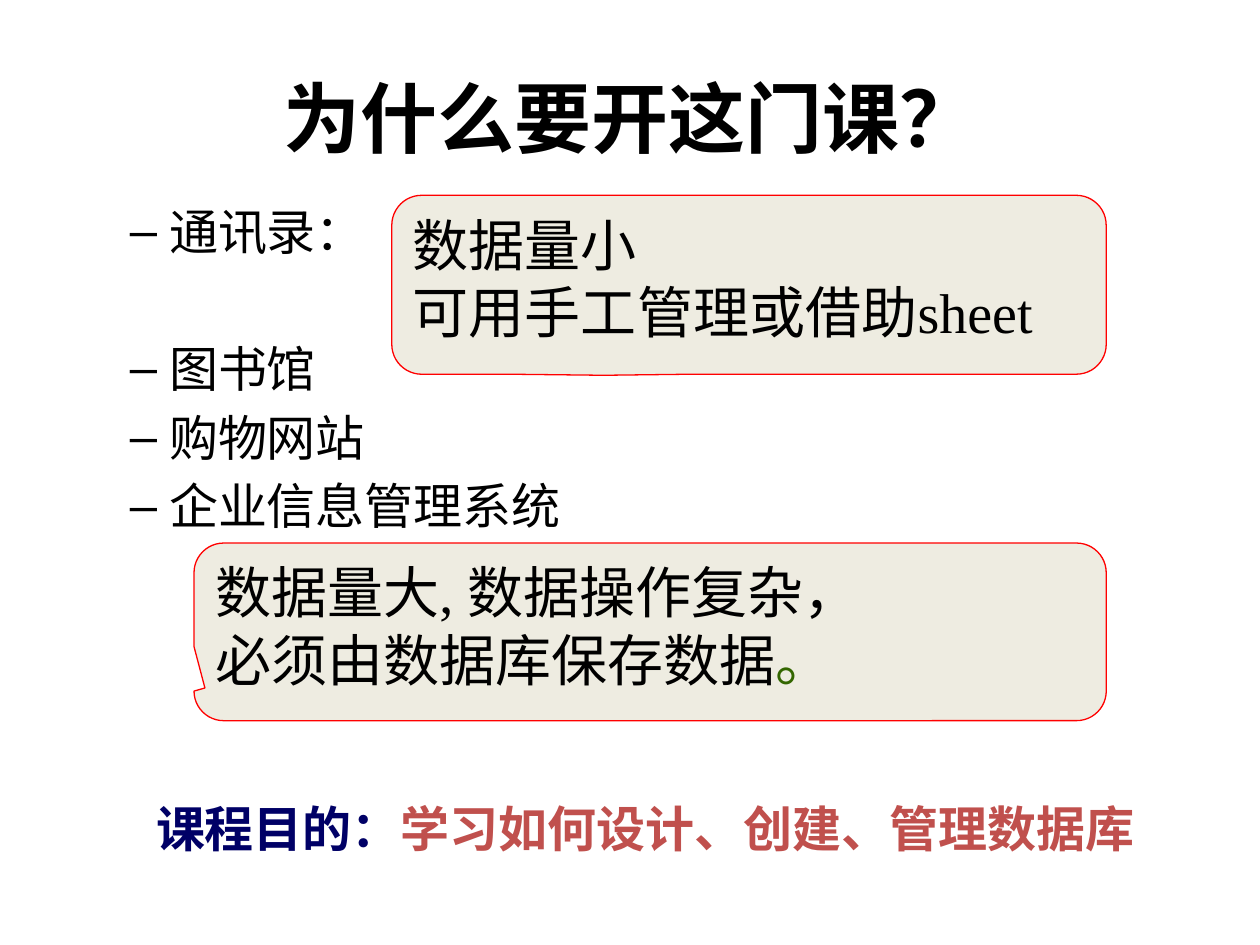
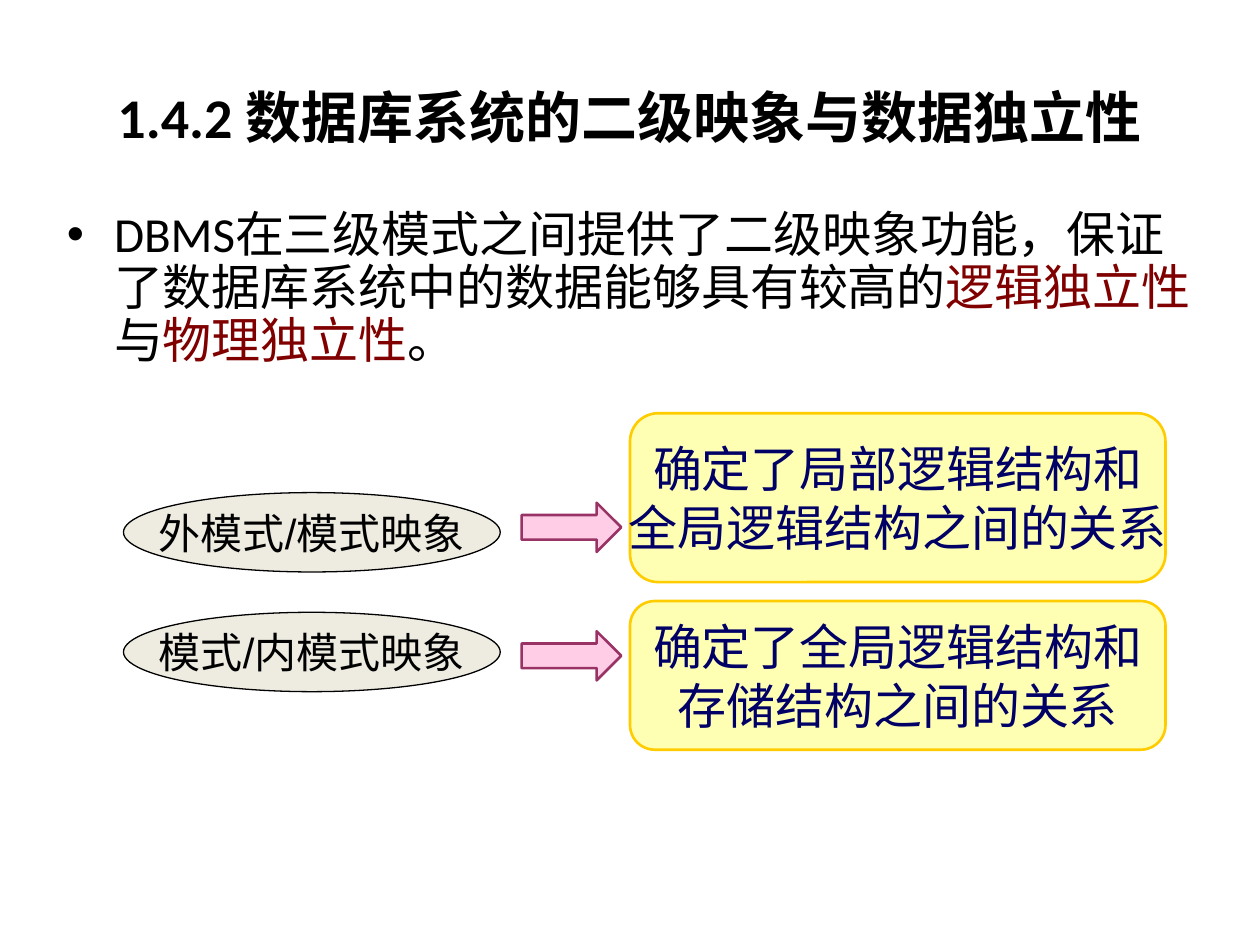
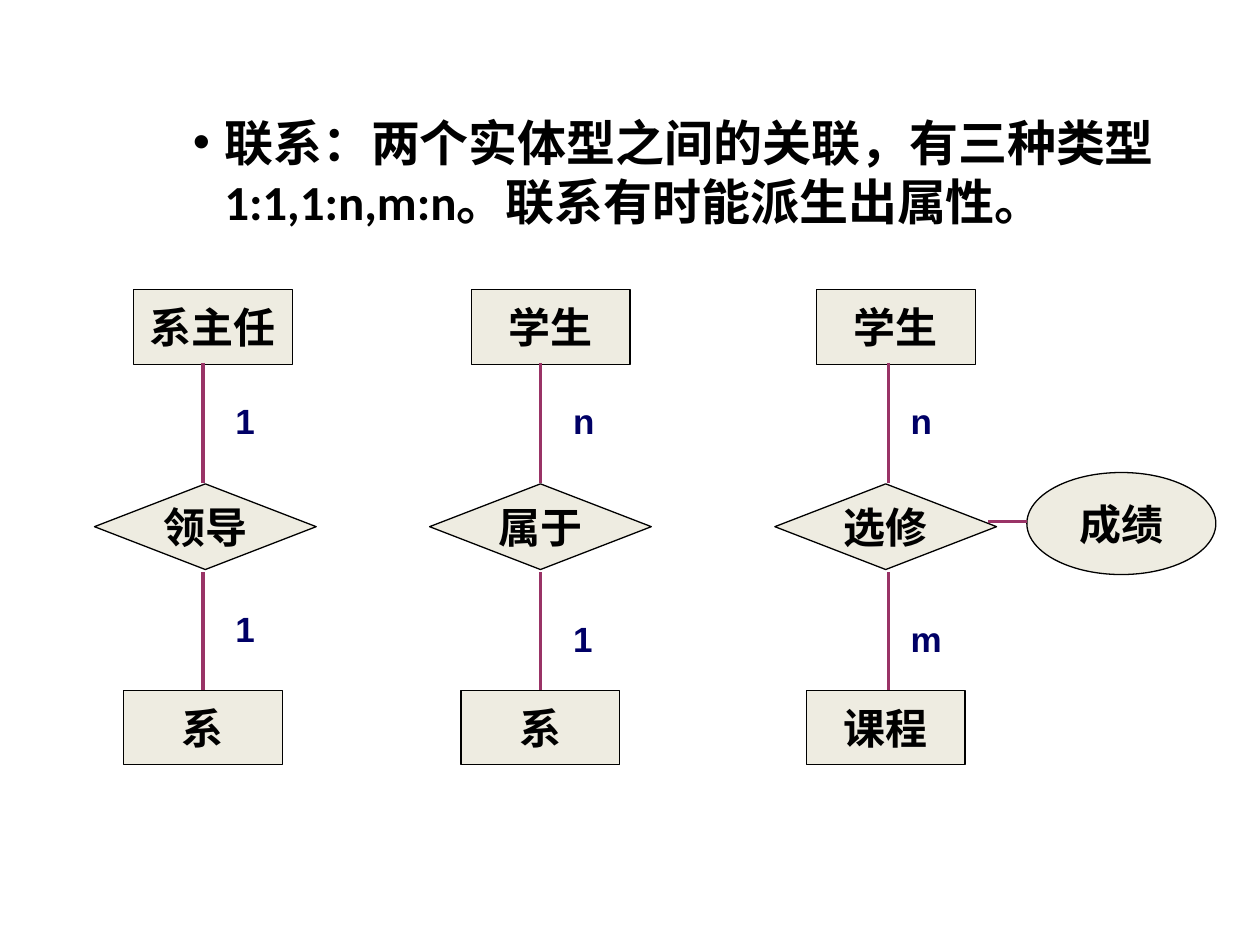
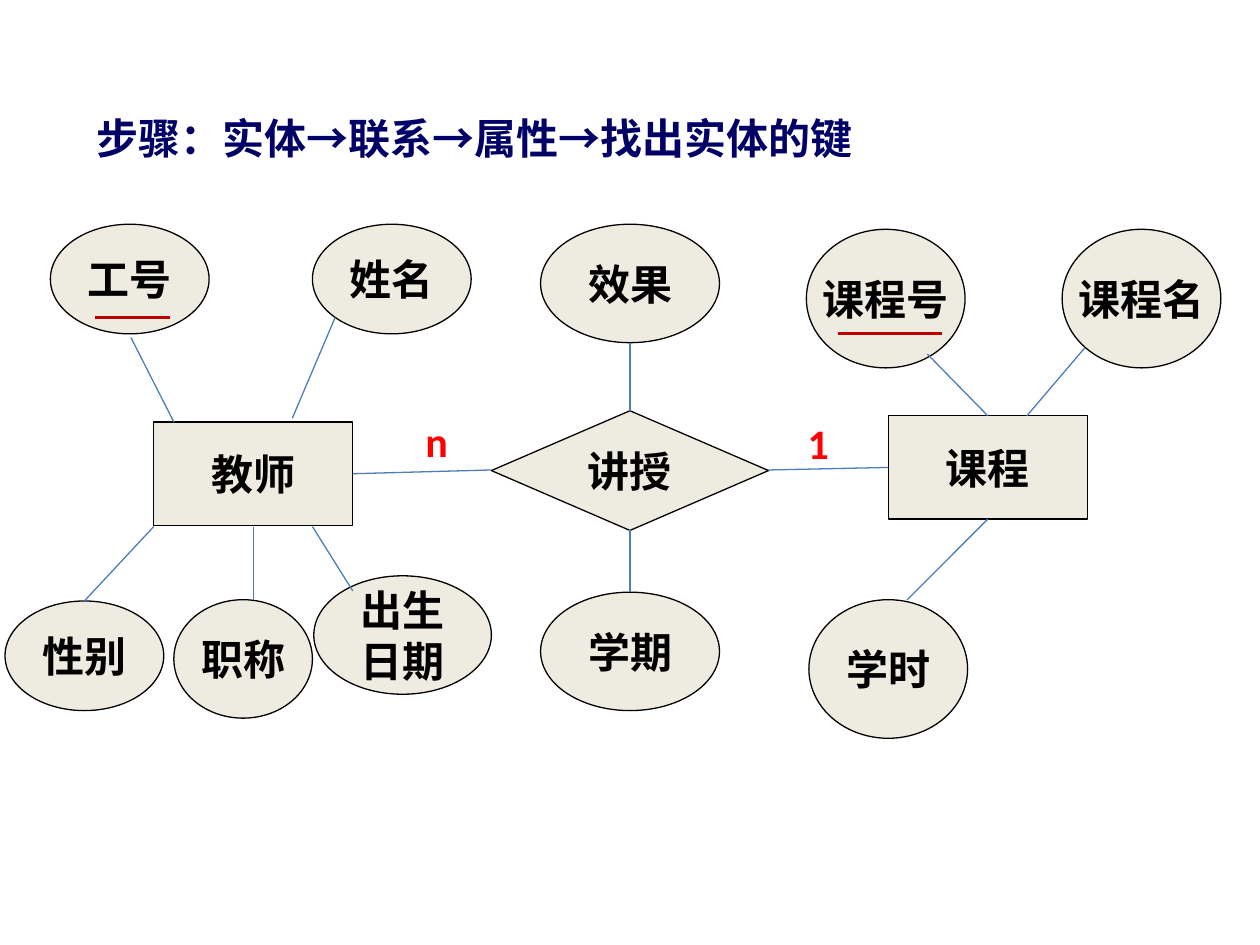
import pptx
import pptx.util
import pptx.dml.color
import pptx.enum.shapes
import pptx.enum.text
import pptx.oxml.ns
import lxml.etree

Inches, Pt = pptx.util.Inches, pptx.util.Pt
SHAPE = pptx.enum.shapes.MSO_SHAPE
ALIGN = pptx.enum.text.PP_ALIGN
ANCHOR = pptx.enum.text.MSO_ANCHOR
FIT = pptx.enum.text.MSO_AUTO_SIZE

COLORS = {
    "black": "000000", "beige": "EEECE1", "red": "FF0000", "navy": "000066",
    "maroon": "800000", "brick": "C0504D", "green": "336600", "plum": "993366",
    "pink": "FF99CC", "yellow": "FFFF99", "gold": "FFCC00", "blue": "4B7EBC",
    "key": "C00000",
}
TITLE_AND_CONTENT, BLANK = 1, 6
BODY_LEFT, BODY_WIDTH = 0.43, 9.14

# Slide 1: each line is a list of (text, color) spans
WHY_TITLE = "为什么要开这门课？"
WHY_EXAMPLES = ["通讯录：", "图书馆", "购物网站", "企业信息管理系统"]
NOTE_GAP = 44.7  # points left after the first example for its callout
CALLOUTS = [
    ((3.11, 1.55, 5.67, 1.42), (-0.203, 0.506, 0.167),
     [[("数据量小", "black")], [("可用手工管理或借助sheet", "black")]]),
    ((1.54, 4.31, 7.24, 1.41), (-0.488, 0.316, 0.167),
     [[("数据量大, 数据操作复杂，", "black")],
      [("必须由数据库保存数据", "black"), ("。", "green")]]),
]
GOAL = [("课程目的：", "navy", "Arial"),
        ("学习如何设计、创建、管理数据库", "brick", "Times New Roman")]

# Slide 2
MAPPING_TITLE = "1.4.2 数据库系统的二级映象与数据独立性"
MAPPING_TEXT = [
    ("DBMS在三级模式之间提供了二级映象功能，保证了数据库系统中的数据能够具有较高的", "black"),
    ("逻辑独立性", "maroon"), ("与", "black"), ("物理独立性", "maroon"), ("。", "black"),
]
# name, ellipse top, arrow top, effect top, effect height, effect lines
MAPPINGS = [
    ("外模式/模式映象", 3.91, 3.99, 3.28, 1.34,
     ["确定了局部逻辑结构和", "全局逻辑结构之间的关系"]),
    ("模式/内模式映象", 4.86, 5.01, 4.77, 1.18,
     ["确定了全局逻辑结构和", "存储结构之间的关系"]),
]

# Slide 3
RELATION_TEXT = "联系：两个实体型之间的关联，有三种类型1:1,1:n,m:n。联系有时能派生出属性。"
# upper entity, relation, lower entity, upper and lower label,
# then left of lower entity, left of diamond, line x, label left, lower label top
RELATIONS = [
    ("系主任", "领导", "系", "1", "1", 0.98, 0.75, 1.61, 1.77, 4.77),
    ("学生", "属于", "系", "n", "1", 3.66, 3.41, 4.29, 4.45, 4.85),
    ("学生", "选修", "课程", "n", "m", 6.4, 6.15, 7.05, 7.13, 4.85),
]
ENTITY_SIZE, DIAMOND_SIZE = (1.26, 0.59), (1.76, 0.68)

# Slide 4
STEPS = "步骤：实体→联系→属性→找出实体的键"
ENTITIES = [("课程", 7.05, 3.3), ("教师", 1.22, 3.35)]
ATTRIBUTES = [
    ("性别", 0.04, 4.77, 1.26, 0.87), ("工号", 0.4, 1.78, 1.26, 0.87),
    ("姓名", 2.48, 1.78, 1.26, 0.87), ("出生\n日期", 2.49, 4.57, 1.41, 0.94),
    ("学时", 6.42, 4.76, 1.26, 1.1), ("课程号", 6.4, 1.82, 1.26, 1.1),
    ("课程名", 8.43, 1.82, 1.26, 1.1), ("学期", 4.29, 4.7, 1.42, 0.94),
    ("职称", 1.38, 4.76, 1.1, 0.94), ("效果", 4.29, 1.78, 1.42, 0.94),
]
LINKS = [
    (1.04, 2.68, 1.38, 3.35), (2.32, 3.32, 2.66, 2.52), (1.22, 4.18, 0.67, 4.77),
    (2.01, 4.18, 2.01, 4.76), (2.48, 4.18, 2.8, 4.69), (7.84, 3.3, 7.36, 2.81),
    (8.15, 3.3, 8.61, 2.76), (7.84, 4.12, 7.2, 4.76), (2.8, 3.76, 3.9, 3.73),
    (6.1, 3.73, 7.05, 3.71), (5, 2.72, 5, 3.26), (5, 4.21, 5, 4.7),
]
KEY_LINES = [((6.65, 2.65, 7.48, 2.65), 1.75), ((0.75, 2.52, 1.35, 2.52), 2.25)]
CARDINALITIES = [("n", (3.19, 3.16, 0.55, 0.67)), ("1", (6.1, 3.19, 0.79, 0.64))]


def rgb(name):
    return pptx.dml.color.RGBColor.from_string(COLORS[name])


def add_span(para, text, size, color="black", font="Calibri", bold=False):
    span = para.add_run()
    span.text = text
    span.font.size = Pt(size)
    span.font.name = font
    span.font.bold = bold
    span.font.color.rgb = rgb(color)


def write_lines(frame, lines, size, font, bold=False, align=ALIGN.LEFT):
    """Fill a frame with one paragraph per list of (text, color) spans."""
    for number, spans in enumerate(lines):
        para = frame.add_paragraph() if number else frame.paragraphs[0]
        para.alignment = align
        for text, color in spans:
            add_span(para, text, size, color, font, bold)


def add_figure(page, kind, area, fill="beige", line="black", weight=0.75, alpha=None):
    figure = page.shapes.add_shape(kind, *map(Inches, area))
    figure.shadow.inherit = False
    figure.fill.solid()
    figure.fill.fore_color.rgb = rgb(fill)
    if alpha:
        color = figure.fill._xPr.find(".//" + pptx.oxml.ns.qn("a:srgbClr"))
        lxml.etree.SubElement(color, pptx.oxml.ns.qn("a:alpha"), val=str(alpha * 1000))
    figure.line.color.rgb = rgb(line)
    figure.line.width = Pt(weight)
    return figure


def label(figure, lines, size=24, color="black", bold=True):
    frame = figure.text_frame
    frame.word_wrap = False
    frame.vertical_anchor = ANCHOR.MIDDLE
    write_lines(frame, [[(text, color)] for text in lines], size, "Arial", bold,
                ALIGN.CENTER)


def add_node(page, kind, text, *area):
    label(add_figure(page, kind, area), text.split("\n"))


def add_line(page, ends, color, weight):
    line = page.shapes.add_connector(
        pptx.enum.shapes.MSO_CONNECTOR.STRAIGHT, *map(Inches, ends))
    line.line.color.rgb = rgb(color)
    line.line.width = Pt(weight)
    lxml.etree.SubElement(line._element.spPr, pptx.oxml.ns.qn("a:effectLst"))


def add_growing_text(page, area, spans, size):
    """Add bold, unwrapped text in a box that fits it."""
    frame = page.shapes.add_textbox(*map(Inches, area)).text_frame
    frame.word_wrap = False
    frame.auto_size = FIT.SHAPE_TO_FIT_TEXT
    for text, color, font in spans:
        add_span(frame.paragraphs[0], text, size, color, font, True)


def add_page(deck, layout, title=None, title_size=44):
    page = deck.slides.add_slide(deck.slide_layouts[layout])
    holder = page.shapes.title
    if title:
        holder.left, holder.top, holder.width, holder.height = map(
            Inches, (0.5, 0.3, 9, 1.25))
        add_span(holder.text_frame.paragraphs[0], title, title_size, bold=True)
    elif holder is not None:
        holder._element.getparent().remove(holder._element)
    return page


def body_frame(page, top, height):
    body = page.placeholders[1]
    body.left, body.top, body.width, body.height = map(
        Inches, (BODY_LEFT, top, BODY_WIDTH, height))
    body.text_frame.auto_size = FIT.NONE
    return body.text_frame


def build_why(deck):
    page = add_page(deck, TITLE_AND_CONTENT, WHY_TITLE)
    frame = body_frame(page, 1.55, 5.2)
    write_lines(frame, [[(text, "black")] for text in WHY_EXAMPLES], 28, "Calibri")
    for para in frame.paragraphs:
        para.level = 1
    frame.paragraphs[1].space_before = Pt(NOTE_GAP)
    for area, adjustments, lines in CALLOUTS:
        callout = add_figure(page, SHAPE.ROUNDED_RECTANGULAR_CALLOUT, area, line="red")
        for number, value in enumerate(adjustments):
            callout.adjustments[number] = value
        callout.text_frame.vertical_anchor = ANCHOR.TOP
        write_lines(callout.text_frame, lines, 32, "Times New Roman")
    add_growing_text(page, (1.14, 6.29, 8.09, 0.57), GOAL, 28)


def build_mappings(deck):
    page = add_page(deck, TITLE_AND_CONTENT, MAPPING_TITLE, 32)
    frame = body_frame(page, 1.62, 1.42)
    write_lines(frame, [MAPPING_TEXT], 28, "Calibri")
    frame.paragraphs[0].line_spacing = 0.9
    for name, top, arrow_top, effect_top, effect_height, effect in MAPPINGS:
        label(add_figure(page, SHAPE.OVAL, (0.98, top, 2.99, 0.63)), [name], bold=False)
        add_figure(page, SHAPE.RIGHT_ARROW, (4.14, arrow_top, 0.79, 0.39),
                   "pink", "plum", 1.5, 48)
        box = add_figure(page, SHAPE.FLOWCHART_ALTERNATE_PROCESS,
                         (5, effect_top, 4.25, effect_height), "yellow", "gold", 1.5, 73)
        label(box, effect, 28, "navy", False)


def build_relations(deck):
    page = add_page(deck, TITLE_AND_CONTENT)
    frame = body_frame(page, 0.84, 5.98)
    write_lines(frame, [[(RELATION_TEXT, "black")]], 28, "Calibri", True)
    frame.paragraphs[0].level = 2
    for (upper, relation, lower, upper_label, lower_label,
         left, diamond_left, line_x, label_left, lower_top) in RELATIONS:
        add_node(page, SHAPE.FLOWCHART_PROCESS, upper, left + 0.08, 2.3, *ENTITY_SIZE)
        add_node(page, SHAPE.DIAMOND, relation, diamond_left, 3.84, *DIAMOND_SIZE)
        add_node(page, SHAPE.FLOWCHART_PROCESS, lower, left, 5.48, *ENTITY_SIZE)
        for start, end in ((2.88, 3.83), (4.54, 5.48)):
            add_line(page, (line_x, start, line_x, end), "plum", 2)
        for text, top in ((upper_label, 3.12), (lower_label, lower_top)):
            width = {"1": 0.35, "n": 0.37, "m": 0.44}[text]
            add_growing_text(page, (label_left, top, width, 0.43),
                             [(text, "navy", "Arial")], 20)
    add_node(page, SHAPE.OVAL, "成绩", 8.15, 3.75, 1.5, 0.81)
    add_line(page, (7.84, 4.14, 8.15, 4.14), "plum", 2)


def build_diagram(deck):
    page = add_page(deck, BLANK)
    add_growing_text(page, (0.67, 0.84, 6.27, 0.5), [(STEPS, "navy", "Arial")], 24)
    for name, left, top in ENTITIES:
        add_node(page, SHAPE.FLOWCHART_PROCESS, name, left, top, 1.58, 0.82)
    add_node(page, SHAPE.DIAMOND, "讲授", 3.9, 3.26, 2.2, 0.95)
    for name, *area in ATTRIBUTES:
        add_node(page, SHAPE.OVAL, name, *area)
    for ends in LINKS:
        add_line(page, ends, "blue", 0.75)
    for ends, weight in KEY_LINES:
        add_line(page, ends, "key", weight)
    for text, area in CARDINALITIES:
        frame = page.shapes.add_textbox(*map(Inches, area)).text_frame
        frame.word_wrap = True
        frame.vertical_anchor = ANCHOR.MIDDLE
        write_lines(frame, [[(text, "red")]], 24, "Calibri", True, ALIGN.CENTER)


def main():
    deck = pptx.Presentation()
    deck.slide_width, deck.slide_height = Inches(10), Inches(7.5)
    for build in (build_why, build_mappings, build_relations, build_diagram):
        build(deck)
    deck.save("out.pptx")


if __name__ == "__main__":
    main()
